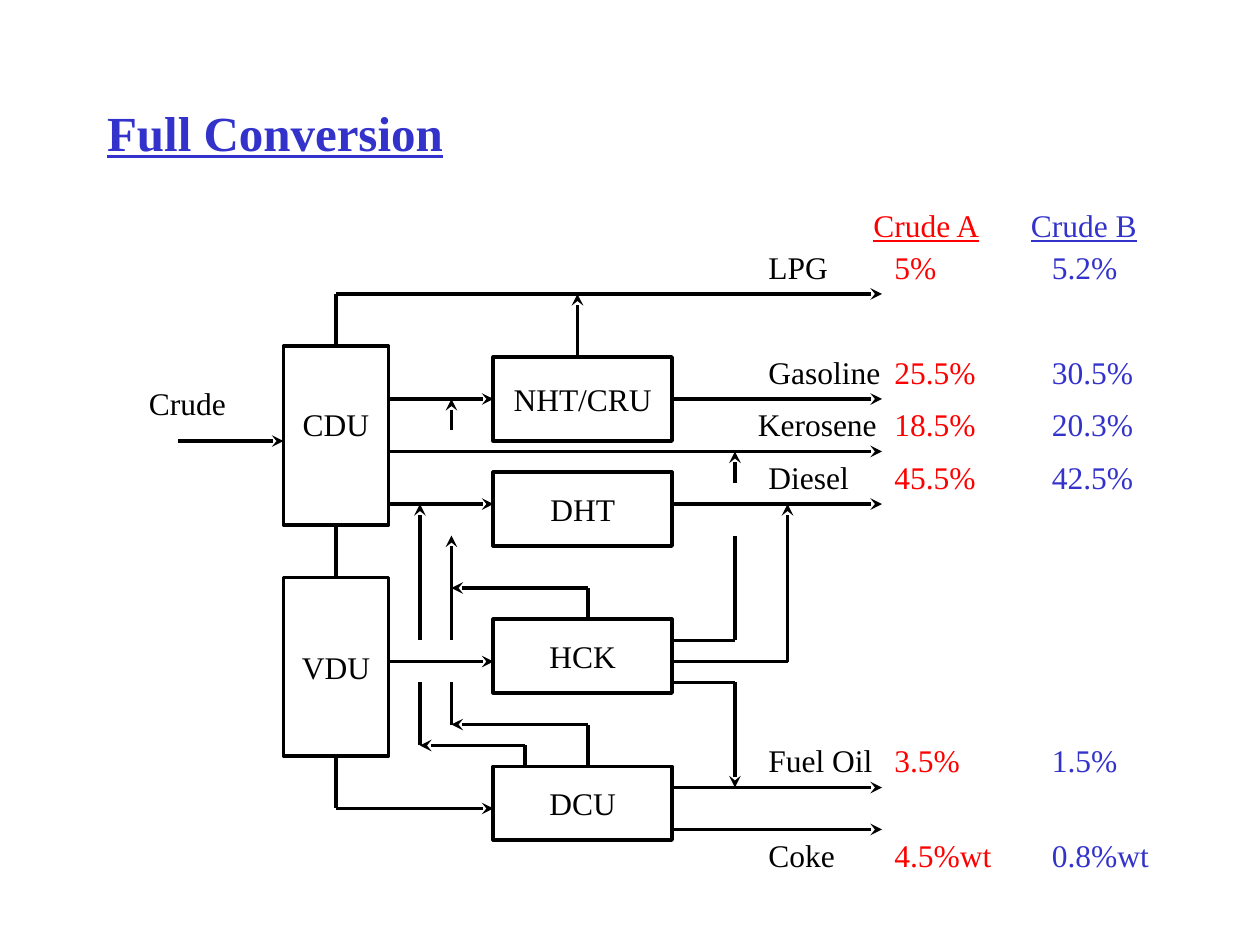
import dataclasses
import itertools

import pptx
import pptx.dml.color
import pptx.enum.shapes
import pptx.enum.text
import pptx.oxml.ns
import pptx.util
from lxml import etree

Inches = pptx.util.Inches
Align = pptx.enum.text.PP_ALIGN
Anchor = pptx.enum.text.MSO_ANCHOR


@dataclasses.dataclass(frozen=True)
class Theme:
    font: str = "Times New Roman"
    ink: str = "000000"
    red: str = "FF0000"
    blue: str = "3333CC"
    title: float = 28
    body: float = 18
    line: float = 2.25


THEME = Theme()
STEP = Inches(1) / 12  # the drawing sits on a grid of twelfths of an inch


def paint(hue):
    return pptx.dml.color.RGBColor.from_string(hue)


def write(frame, text, hue=THEME.ink, size=THEME.body, align=Align.LEFT,
          anchor=Anchor.TOP, bold=False, under=False):
    frame.text = text
    frame.word_wrap = True
    frame.vertical_anchor = anchor
    frame.margin_left = frame.margin_right = Inches(0.1)
    frame.margin_top = frame.margin_bottom = Inches(0.05)
    para = frame.paragraphs[0]
    para.alignment = align
    para.space_before = pptx.util.Pt(0)
    font = para.runs[0].font
    font.name, font.size = THEME.font, pptx.util.Pt(size)
    font.bold, font.underline = bold, under
    font.color.rgb = paint(hue)


def place(box, x, y):
    """Turn grid steps within a box into a point on the slide."""
    return round(box[0] + x * STEP), round(box[1] + y * STEP)


def label(slide, box, x, y, width, text, hue=THEME.ink, under=False):
    shape = slide.shapes.add_textbox(
        *place(box, x, y), round(width * STEP), Inches(0.4))
    write(shape.text_frame, text, hue, under=under)
    shape.text_frame.auto_size = pptx.enum.text.MSO_AUTO_SIZE.SHAPE_TO_FIT_TEXT


def unit(slide, box, name, x, y, width, height, lift=0):
    shape = slide.shapes.add_shape(
        pptx.enum.shapes.MSO_SHAPE.RECTANGLE, *place(box, x, y),
        round(width * STEP), round(height * STEP))
    shape.shadow.inherit = False
    shape.fill.background()
    shape.line.color.rgb = paint(THEME.ink)
    shape.line.width = pptx.util.Pt(THEME.line)
    write(shape.text_frame, name, align=Align.CENTER, anchor=Anchor.MIDDLE)
    shape.text_frame.margin_bottom += Inches(lift)


def pipe(slide, box, points, head=True):
    """Join the points with straight lines; the last may carry an arrowhead."""
    pairs = list(itertools.pairwise(points))
    for spot, (start, end) in enumerate(pairs, 1):
        line = slide.shapes.add_connector(
            pptx.enum.shapes.MSO_CONNECTOR.STRAIGHT,
            *place(box, *start), *place(box, *end))
        line.line.color.rgb = paint(THEME.ink)
        line.line.width = pptx.util.Pt(THEME.line)
        props = line._element.spPr
        if head and spot == len(pairs):
            tail = etree.SubElement(line.line._get_or_add_ln(),
                                    pptx.oxml.ns.qn("a:tailEnd"))
            tail.set("type", "stealth")
        etree.SubElement(props, pptx.oxml.ns.qn("a:effectLst"))


def heading(slide, box, text):
    title = slide.shapes.title
    title.left, title.top, title.width, title.height = box
    write(title.text_frame, text, THEME.blue, THEME.title,
          anchor=Anchor.MIDDLE, bold=True, under=True)


def flow(slide, box):
    # Process units: name, left, top, width, height, text lift
    for part in (
        ("CDU", 15, 15, 10, 17, 0.18),
        ("VDU", 15, 37, 10, 17),
        ("NHT/CRU", 35, 16, 17, 8),
        ("DHT", 35, 27, 17, 7),
        ("HCK", 35, 41, 17, 7),
        ("DCU", 35, 55, 17, 7),
    ):
        unit(slide, box, *part)

    # Feed
    label(slide, box, 1, 18, 12, "Crude")

    # Streams with an arrowhead
    for points in (
        [(5, 24), (15, 24)],
        [(20, 15), (20, 10), (72, 10)],
        [(43, 16), (43, 10)],
        [(25, 20), (35, 20)],
        [(52, 20), (72, 20)],
        [(25, 25), (72, 25)],
        [(25, 30), (35, 30)],
        [(52, 30), (72, 30)],
        [(25, 45), (35, 45)],
        [(20, 54), (20, 59), (35, 59)],
        [(52, 57), (72, 57)],
        [(52, 61), (72, 61)],
        [(44, 41), (44, 38), (31, 38)],
        [(31, 43), (31, 33)],
        [(31, 23), (31, 20)],
        [(58, 28), (58, 25)],
        [(52, 45), (63, 45), (63, 30)],
        [(52, 47), (58, 47), (58, 57)],
        [(38, 55), (38, 53), (28, 53)],
        [(28, 43), (28, 30)],
        [(44, 55), (44, 51), (31, 51)],
    ):
        pipe(slide, box, points)

    # Plain stretches, broken where they pass other streams
    for points in (
        [(20, 37), (20, 32)],
        [(52, 43), (58, 43), (58, 33)],
        [(28, 53), (28, 47)],
        [(31, 51), (31, 47)],
    ):
        pipe(slide, box, points, head=False)


def yields(slide, box):
    names = ("LPG", "Gasoline", "Kerosene", "Diesel", "Fuel Oil", "Coke")
    rows = (5, 15, 20, 25, 52, 61)
    crudes = (
        ("Crude A", THEME.red, 12,
         ("5%", "25.5%", "18.5%", "45.5%", "3.5%", "4.5%wt")),
        ("Crude B", THEME.blue, 27,
         ("5.2%", "30.5%", "20.3%", "42.5%", "1.5%", "0.8%wt")),
    )
    for name, row in zip(names, rows):
        label(slide, box, -1 if name == "Kerosene" else 0, row, 15, name)
    for crude, hue, left, shares in crudes:
        label(slide, box, left - 2, 1, 14, crude, hue, under=True)
        for share, row in zip(shares, rows):
            label(slide, box, left, row, 15, share, hue)


def main():
    deck = pptx.Presentation()
    deck.slide_width, deck.slide_height = Inches(10), Inches(7.5)
    slide = deck.slides.add_slide(deck.slide_layouts[5])
    heading(slide, [Inches(n) for n in (0.75, 0.42, 8.5, 1.25)],
            "Full Conversion")
    flow(slide, (Inches(1), Inches(1.5)))
    yields(slide, (Inches(6), Inches(1.5)))
    deck.save("out.pptx")


if __name__ == "__main__":
    main()
